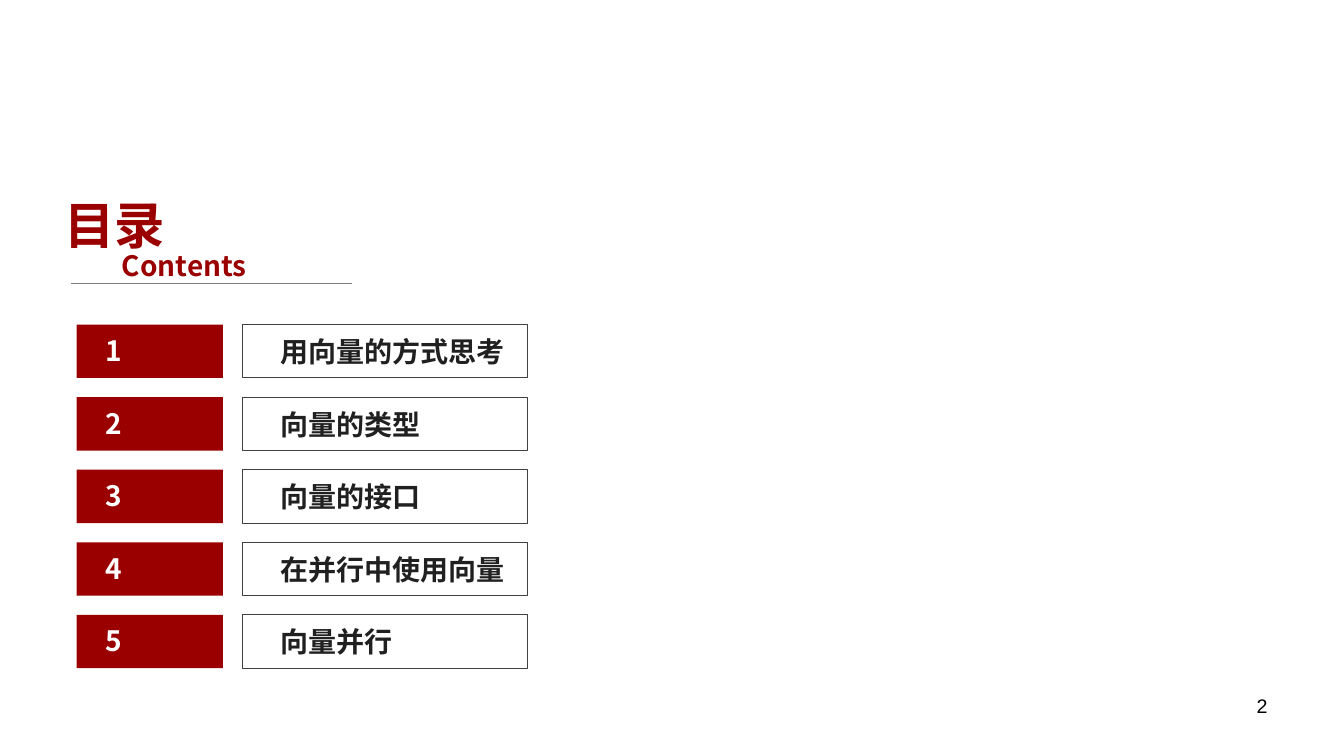
import pptx
import pptx.util
import pptx.dml.color
import pptx.enum.shapes
import pptx.enum.text
import pptx.oxml
import pptx.oxml.ns

PX = 9144
FONT = "Noto Sans CJK SC"
HUES = {
    "red": "9A0000",
    "ink": "202020",
    "edge": "404040",
    "rule": "7F7F7F",
    "white": "FFFFFF",
    "black": "000000",
}
TOPICS = ["用向量的方式思考", "向量的类型", "向量的接口", "在并行中使用向量", "向量并行"]
TOP, STEP = 322, 72


def px(*sizes):
    return [pptx.util.Emu(size * PX) for size in sizes]


def hue(name):
    return pptx.dml.color.RGBColor.from_string(HUES[name])


def add_box(shapes, area, fill=None, edge=None):
    kind = pptx.enum.shapes.MSO_SHAPE.RECTANGLE
    box = shapes.add_shape(kind, *px(*area))
    box.shadow.inherit = False
    if fill:
        box.fill.solid()
        box.fill.fore_color.rgb = hue(fill)
    else:
        box.fill.background()
    if edge:
        box.line.color.rgb = hue(edge)
        box.line.width = pptx.util.Pt(0.75)
    else:
        box.line.fill.background()


def add_text(shapes, area, text, tone, size=20, face=FONT, bold=True, align="LEFT"):
    frame = shapes.add_textbox(*px(*area)).text_frame
    frame.word_wrap = True
    para = frame.paragraphs[0]
    para.text = text
    para.alignment = getattr(pptx.enum.text.PP_ALIGN, align)
    font = para.font
    font.name = face
    font.size = pptx.util.Pt(size)
    font.bold = bold
    font.color.rgb = hue(tone)
    props = para._p.pPr.find(pptx.oxml.ns.qn("a:defRPr"))
    latin = props.find(pptx.oxml.ns.qn("a:latin"))
    east = pptx.oxml.parse_xml(f'<a:ea {pptx.oxml.ns.nsdecls("a")} typeface="{face}"/>')
    latin.addnext(east)


def add_rule(shapes, start, end, tone):
    kind = pptx.enum.shapes.MSO_CONNECTOR.STRAIGHT
    rule = shapes.add_connector(kind, *px(*start, *end))
    rule.line.color.rgb = hue(tone)
    rule.line.width = pptx.util.Pt(0.5)
    blank = pptx.oxml.parse_xml(f'<a:effectLst {pptx.oxml.ns.nsdecls("a")}/>')
    rule._element.spPr.append(blank)


def add_title(shapes):
    group = shapes.add_group_shape().shapes
    add_text(group, (54, 188, 157, 71), "目录", "red", size=36)
    add_rule(group, (70, 281), (349, 281), "rule")
    add_text(group, (111, 242, 157, 44), "Contents", "red")


def add_topic(shapes, index, topic):
    top = TOP + index * STEP
    add_box(shapes, (241, top, 282, 53), edge="edge")
    add_text(shapes, (268, top + 5, 299, 44), topic, "ink")
    add_box(shapes, (76, top, 145, 53), fill="red")
    add_text(shapes, (95, top + 4, 105, 44), str(index + 1), "white")


def main():
    deck = pptx.Presentation()
    deck.slide_width, deck.slide_height = px(1333, 750)
    shapes = deck.slides.add_slide(deck.slide_layouts[6]).shapes
    add_title(shapes)
    for index, topic in enumerate(TOPICS):
        add_topic(shapes, index, topic)
    add_text(shapes, (956, 683, 311, 52), "2", "black",
             size=14, face="Arial", bold=False, align="RIGHT")
    deck.save("out.pptx")


if __name__ == "__main__":
    main()
